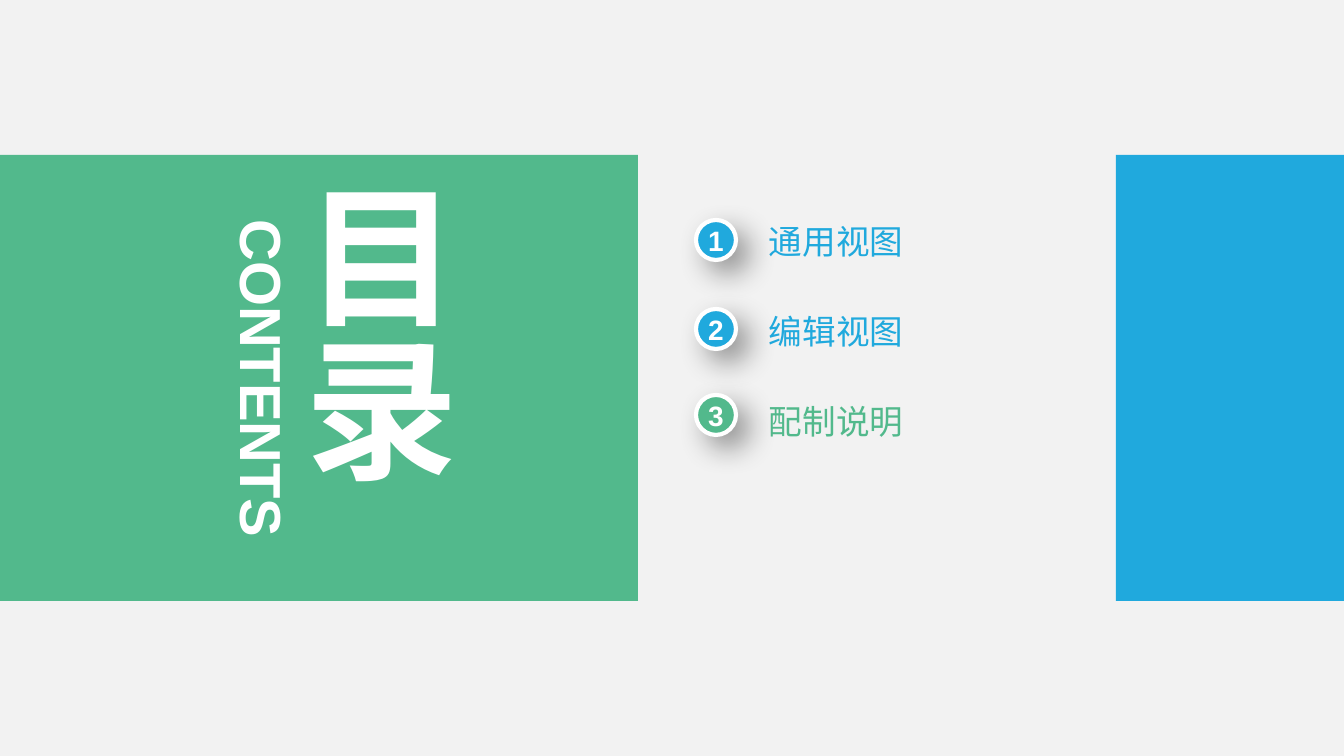
"""Build a contents slide with two colour panels and a numbered list."""
import lxml.etree
import pptx
import pptx.dml.color
import pptx.enum.shapes
import pptx.enum.text
import pptx.oxml
import pptx.oxml.ns
import pptx.util

SCALE = 914400 / 134.4
COLOURS = {"back": "F2F2F2", "green": "52B98C", "blue": "20A9DD",
           "white": "FFFFFF", "black": "000000"}
ITEMS = [("通用视图", "blue", 220), ("编辑视图", "blue", 309), ("配制说明", "green", 395)]
SHAPES = pptx.enum.shapes.MSO_SHAPE
ANCHOR = pptx.enum.text.MSO_ANCHOR
CENTRE = pptx.enum.text.PP_ALIGN.CENTER


def px(value):
    return pptx.util.Emu(round(value * SCALE))


def colour(name):
    return pptx.dml.color.RGBColor.from_string(COLOURS[name])


def apply(target, values):
    for name, value in values.items():
        setattr(target, name, value)


def place(box, left, top, width, height):
    apply(box, {"left": px(left), "top": px(top),
                "width": px(width), "height": px(height)})


def set_frame(box, anchor):
    apply(box.text_frame, {
        "margin_left": 0, "margin_top": 0, "margin_right": 0, "margin_bottom": 0,
        "word_wrap": True, "vertical_anchor": anchor,
        "auto_size": pptx.enum.text.MSO_AUTO_SIZE.NONE})


def write(para, text, size, shade, bold=False, **layout):
    apply(para, layout)
    span = para.add_run()
    span.text = text
    apply(span.font, {"name": "Arial", "size": pptx.util.Pt(size), "bold": bold})
    span.font.color.rgb = colour(shade)


def add_solid(page, kind, bounds, shade):
    shape = page.shapes.add_shape(kind, *map(px, bounds))
    shape.shadow.inherit = False
    shape.fill.solid()
    shape.fill.fore_color.rgb = colour(shade)
    shape.line.fill.background()
    return shape


def add_shadow(shape):
    effects = shape.element.spPr.find(pptx.oxml.ns.qn("a:effectLst"))
    effects.append(pptx.oxml.parse_xml(
        f'<a:outerShdw {pptx.oxml.ns.nsdecls("a")} blurRad="{pptx.util.Pt(16)}" '
        f'dist="{pptx.util.Pt(9)}" dir="{45 * 60000}" algn="tl" rotWithShape="0">'
        f'<a:srgbClr val="{COLOURS["black"]}"><a:alpha val="40000"/></a:srgbClr>'
        '</a:outerShdw>'))


def add_badge(page, number, shade, top):
    badge = add_solid(page, SHAPES.OVAL, (696, top, 40, 40), shade)
    badge.line.color.rgb = colour("white")
    badge.line.width = pptx.util.Pt(2.25)
    add_shadow(badge)
    set_frame(badge, ANCHOR.MIDDLE)
    write(badge.text_frame.paragraphs[0], str(number), 15, "white", True, alignment=CENTRE)


def fill_title(page):
    title = page.shapes.title
    place(title, 284, 180, 185, 396)
    set_frame(title, ANCHOR.MIDDLE)
    title.text_frame._txBody.bodyPr.set("vert", "eaVert")
    write(title.text_frame.paragraphs[0], "目录", 82, "white", True, alignment=CENTRE)
    page.shapes.element.append(title.element)


def add_subtitle(page):
    box = page.shapes.add_textbox(*map(px, (90, 343, 345, 71)))
    box.rotation = 90
    set_frame(box, ANCHOR.TOP)
    write(box.text_frame.paragraphs[0], "CONTENTS", 31, "white", True, alignment=CENTRE)


def fill_list(page):
    body = page.placeholders[1]
    place(body, 769, 172, 258, 270)
    set_frame(body, ANCHOR.TOP)
    frame = body.text_frame
    for index, (text, shade, _) in enumerate(ITEMS):
        para = frame.add_paragraph() if index else frame.paragraphs[0]
        write(para, text, 18, shade, line_spacing=pptx.util.Pt(48),
              space_before=pptx.util.Pt(0))
        properties = para._p.get_or_add_pPr()
        properties.set("marL", "0")
        properties.set("indent", "0")
        lxml.etree.SubElement(properties, pptx.oxml.ns.qn("a:buNone"))


def main():
    deck = pptx.Presentation()
    apply(deck, {"slide_width": px(1344), "slide_height": px(756)})
    page = deck.slides.add_slide(deck.slide_layouts[1])
    page.background.fill.solid()
    page.background.fill.fore_color.rgb = colour("back")
    for left, width, shade in [(-2, 640, "green"), (1116, 230, "blue")]:
        add_solid(page, SHAPES.RECTANGLE, (left, 155, width, 446), shade)
    fill_title(page)
    add_subtitle(page)
    fill_list(page)
    for number, (_, shade, top) in enumerate(ITEMS, 1):
        add_badge(page, number, shade, top)
    deck.save("out.pptx")


main()
